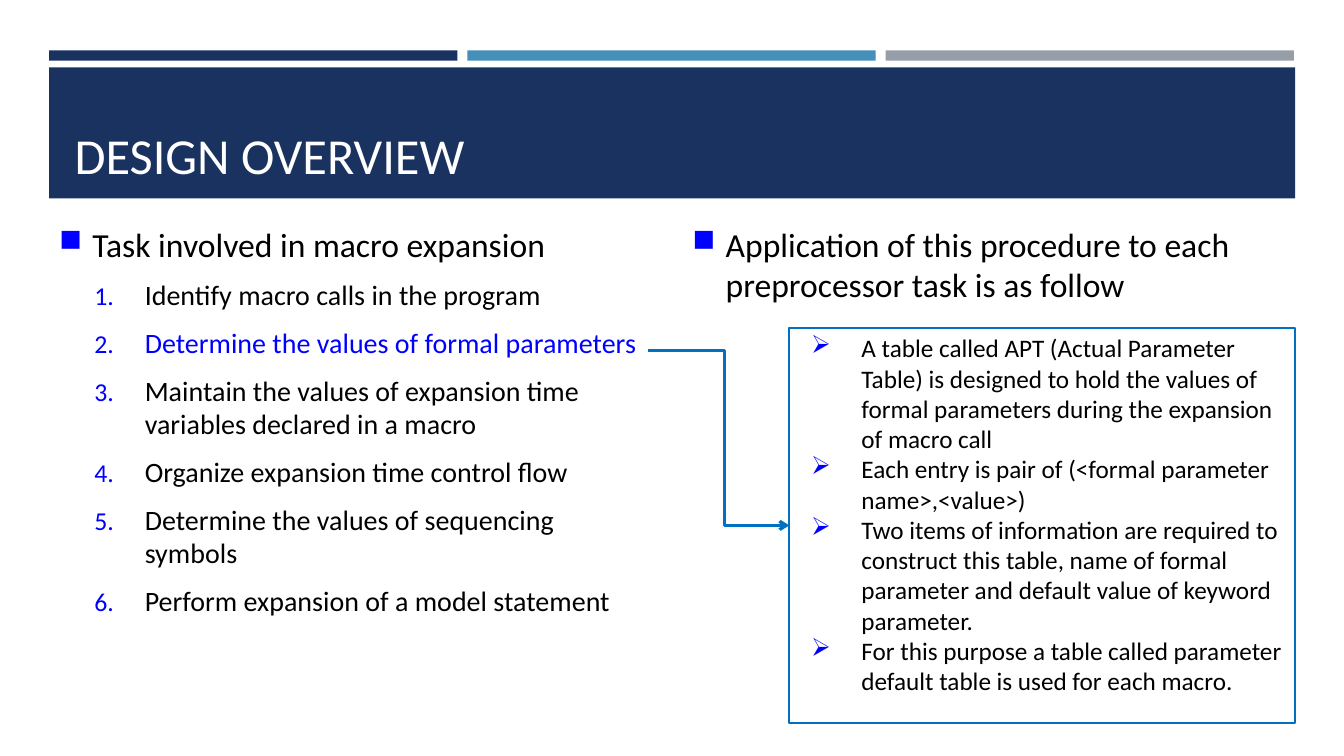
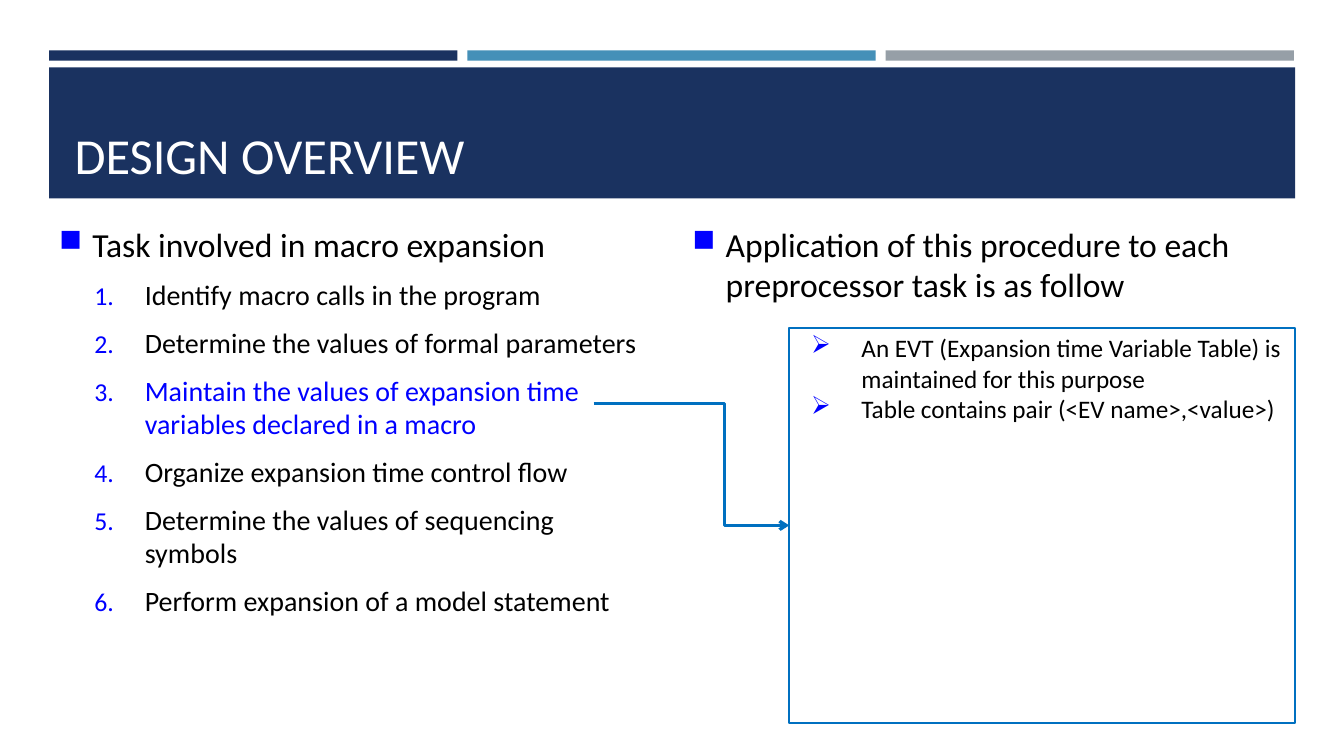
from dataclasses import dataclass

from lxml.etree import SubElement
from pptx import Presentation
from pptx.dml.color import RGBColor
from pptx.enum.shapes import MSO_CONNECTOR, MSO_SHAPE
from pptx.enum.text import MSO_ANCHOR, PP_ALIGN
from pptx.oxml.ns import qn
from pptx.util import Cm, Pt


@dataclass(frozen=True)
class Theme:
    font: str = "Calibri"
    navy: RGBColor = RGBColor(0x1A, 0x32, 0x60)
    sky: RGBColor = RGBColor(0x45, 0x90, 0xB8)
    gray: RGBColor = RGBColor(0x96, 0x9F, 0xA7)
    accent: RGBColor = RGBColor(0x00, 0x70, 0xC0)
    highlight: RGBColor = RGBColor(0x00, 0x00, 0xFF)
    ink: RGBColor = RGBColor(0x00, 0x00, 0x00)
    paper: RGBColor = RGBColor(0xFF, 0xFF, 0xFF)
    title_size: int = 36
    heading_size: int = 24
    task_size: int = 20
    detail_size: int = 18


@dataclass(frozen=True)
class ListStyle:
    size: int
    margin: float
    hanging: float
    level: int = 0
    bullet: str = ""
    bullet_percent: int = 100
    before: float = 0
    after: float = 0


THEME = Theme()
HEADING = ListStyle(THEME.heading_size, 0.84, 0.84, bullet="■",
                    bullet_percent=92, before=4.8, after=6)
TASK = ListStyle(THEME.task_size, 2.16, 1.27, level=1,
                 bullet_percent=92, before=4, after=6)
DETAIL = ListStyle(THEME.detail_size, 1.57, 1.27, level=2, bullet="➢")

TITLE = "DESIGN OVERVIEW"
TASK_HEADING = "Task involved in macro expansion"
TASKS = [
    "Identify macro calls in the program",
    "Determine the values of formal parameters",
    "Maintain the values of expansion time variables declared in a macro",
    "Organize expansion time control flow",
    "Determine the values of sequencing symbols",
    "Perform expansion of a model statement",
]
PROCEDURE_HEADING = ("Application of this procedure to each "
                     "preprocessor task is as follow")
PARAMETER_DETAILS = [
    "A table called APT (Actual Parameter Table) is designed to hold the "
    "values of formal parameters during the expansion of macro call",
    "Each entry is pair of (<formal parameter name>,<value>)",
    "Two items of information are required to construct this table, name of "
    "formal parameter and default value of keyword parameter.",
    "For this purpose a table called parameter default table is used for "
    "each macro.",
]
VARIABLE_DETAILS = [
    "An EVT (Expansion time Variable Table) is maintained for this purpose",
    "Table contains pair (<EV name>,<value>)",
]

LEFT = 1.24
BODY_TOP = 5.51
BODY_WIDTH = 15.44
BEND_X = 18.26
DETAIL_LEFT, DETAIL_TOP, DETAIL_WIDTH, DETAIL_HEIGHT = 19.89, 8.26, 12.75, 9.96


def add_band(slide, left, top, width, height, color):
    band = slide.shapes.add_shape(MSO_SHAPE.RECTANGLE, Cm(left), Cm(top),
                                  Cm(width), Cm(height))
    band.shadow.inherit = False
    band.fill.solid()
    band.fill.fore_color.rgb = color
    band.line.fill.background()


def add_text_frame(slide, left, top, width, height):
    frame = slide.shapes.add_textbox(Cm(left), Cm(top), Cm(width),
                                     Cm(height)).text_frame
    frame.word_wrap = True
    return frame


def set_font(paragraph, size, color):
    paragraph.font.name = THEME.font
    paragraph.font.size = Pt(size)
    paragraph.font.color.rgb = color


def set_bullet(paragraph, style):
    properties = paragraph._p.get_or_add_pPr()
    properties.set("marL", str(Cm(style.margin)))
    properties.set("indent", str(-Cm(style.hanging)))
    bullet_color = SubElement(properties, qn("a:buClr"))
    SubElement(bullet_color, qn("a:srgbClr"), val=str(THEME.highlight))
    SubElement(properties, qn("a:buSzPct"),
               val=str(style.bullet_percent * 1000))
    if style.bullet:
        SubElement(properties, qn("a:buChar"), char=style.bullet)
    else:
        SubElement(properties, qn("a:buAutoNum"), type="arabicPeriod")


def add_item(frame, text, style, color=THEME.ink):
    first = not frame.text
    paragraph = frame.paragraphs[0] if first else frame.add_paragraph()
    paragraph.text = text
    paragraph.level = style.level
    paragraph.alignment = PP_ALIGN.LEFT
    paragraph.space_before = Pt(0 if first else style.before)
    paragraph.space_after = Pt(style.after)
    set_bullet(paragraph, style)
    set_font(paragraph, style.size, color)


def add_header(slide):
    strip_width, strip_gap = 10.29, 0.25
    for column, color in enumerate((THEME.navy, THEME.sky, THEME.gray)):
        add_band(slide, LEFT + column * (strip_width + strip_gap), 1.27,
                 strip_width, 0.26, color)
    add_band(slide, LEFT, 1.7, 31.4, 3.3, THEME.navy)
    frame = add_text_frame(slide, 1.63, 1.96, 30.63, 2.82)
    frame.vertical_anchor = MSO_ANCHOR.BOTTOM
    title = frame.paragraphs[0]
    title.text = TITLE
    set_font(title, THEME.title_size, THEME.paper)


def add_tasks(slide, active_task):
    frame = add_text_frame(slide, LEFT, BODY_TOP, BODY_WIDTH, 12.7)
    add_item(frame, TASK_HEADING, HEADING)
    for number, task in enumerate(TASKS, 1):
        color = THEME.highlight if number == active_task else THEME.ink
        add_item(frame, task, TASK, color)


def add_details(slide, details):
    heading = add_text_frame(slide, 17.2, BODY_TOP, BODY_WIDTH, 2.74)
    add_item(heading, PROCEDURE_HEADING, HEADING)
    box = slide.shapes.add_shape(MSO_SHAPE.RECTANGLE, Cm(DETAIL_LEFT),
                                 Cm(DETAIL_TOP), Cm(DETAIL_WIDTH),
                                 Cm(DETAIL_HEIGHT))
    box.shadow.inherit = False
    box.fill.background()
    box.line.color.rgb = THEME.accent
    box.line.width = Pt(1.75)
    box.text_frame.word_wrap = True
    box.text_frame.vertical_anchor = MSO_ANCHOR.TOP
    for detail in details:
        add_item(box.text_frame, detail, DETAIL)
    return box


def add_arrow(slide, start_x, start_y, box):
    arrow = slide.shapes.add_connector(
        MSO_CONNECTOR.ELBOW, Cm(start_x), Cm(start_y), Cm(DETAIL_LEFT),
        Cm(DETAIL_TOP + DETAIL_HEIGHT / 2))
    arrow.end_connect(box, 1)
    arrow.line.color.rgb = THEME.accent
    arrow.line.width = Pt(2.25)
    properties = arrow._element.spPr
    bend = round((BEND_X - start_x) / (DETAIL_LEFT - start_x) * 100000)
    adjustments = properties.find(qn("a:prstGeom")).find(qn("a:avLst"))
    SubElement(adjustments, qn("a:gd"), name="adj1", fmla=f"val {bend}")
    SubElement(properties.find(qn("a:ln")), qn("a:tailEnd"), type="arrow")
    SubElement(properties, qn("a:effectLst"))


def add_overview(presentation, active_task, details, arrow_start):
    slide = presentation.slides.add_slide(presentation.slide_layouts[6])
    add_header(slide)
    add_tasks(slide, active_task)
    box = add_details(slide, details)
    add_arrow(slide, *arrow_start, box)


def main():
    presentation = Presentation()
    presentation.slide_width = Cm(33.87)
    presentation.slide_height = Cm(19.05)
    add_overview(presentation, 2, PARAMETER_DETAILS, (16.33, 8.84))
    add_overview(presentation, 3, VARIABLE_DETAILS, (14.96, 10.16))
    presentation.save("out.pptx")


if __name__ == "__main__":
    main()
